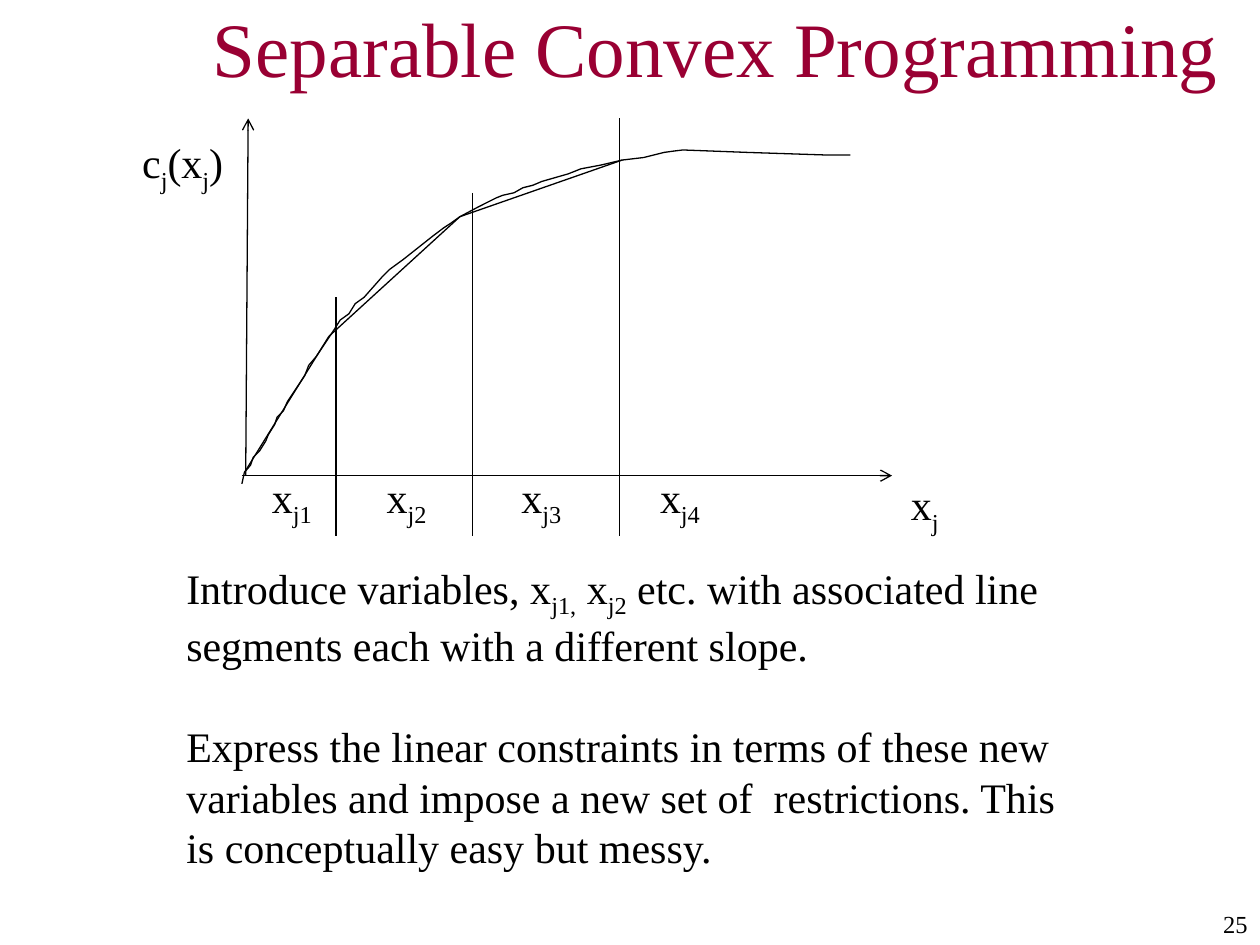
from dataclasses import dataclass

from lxml import etree
from pptx import Presentation
from pptx.dml.color import RGBColor
from pptx.enum.shapes import MSO_CONNECTOR
from pptx.enum.text import MSO_ANCHOR, MSO_AUTO_SIZE, PP_ALIGN
from pptx.oxml.ns import qn
from pptx.util import Inches, Pt

STRAIGHT = MSO_CONNECTOR.STRAIGHT
MIDDLE = MSO_ANCHOR.MIDDLE
LEFT, RIGHT = PP_ALIGN.LEFT, PP_ALIGN.RIGHT
FIXED, GROW = MSO_AUTO_SIZE.NONE, MSO_AUTO_SIZE.SHAPE_TO_FIT_TEXT


@dataclass
class Theme:
    font: str = "Times New Roman"
    ink: RGBColor = RGBColor(0, 0, 0)
    head: RGBColor = RGBColor(0x99, 0x00, 0x33)
    big: int = 44
    body: int = 24
    small: int = 14
    gap: int = 29
    rule: float = 0.75


theme = Theme()
deck = Presentation()
deck.slide_width, deck.slide_height = Inches(10), Inches(7.5)
slide = deck.slides.add_slide(deck.slide_layouts[5])

# Grid of 100 columns by 75 rows
COL, ROW = deck.slide_width // 100, deck.slide_height // 75


def write(box, paras, size, color, align=LEFT):
    """Fill a box; every second piece of a paragraph is a subscript."""
    frame = box.text_frame
    for i, parts in enumerate(paras):
        para = frame.add_paragraph() if i else frame.paragraphs[0]
        para.alignment = align
        if i:
            para.space_before = Pt(theme.gap)
        for j, part in enumerate(parts):
            run = para.add_run()
            run.text = part
            run.font.name, run.font.size = theme.font, Pt(size)
            run.font.color.rgb = color
            if j % 2:
                run.font._element.set("baseline", "-25000")


def draw(start, end, arrow=False):
    """Draw a thin line between two grid points."""
    line = slide.shapes.add_connector(
        STRAIGHT, int(start[0] * COL), int(start[1] * ROW),
        int(end[0] * COL), int(end[1] * ROW))
    line.line.color.rgb, line.line.width = theme.ink, Pt(theme.rule)
    props = line._element.spPr
    if arrow:
        etree.SubElement(props.find(qn("a:ln")), qn("a:tailEnd"), type="arrow")
    etree.SubElement(props, qn("a:effectLst"))


# Title
title = slide.shapes.title
title.left, title.top = int(15.9 * COL), int(0.8 * ROW)
title.width, title.height = int(84.1 * COL), int(5.8 * ROW)
title.text_frame.auto_size = FIXED
title.text_frame.vertical_anchor = MIDDLE
write(title, [["Separable Convex Programming"]], theme.big, theme.head)

# Axes
base = 37.75
draw((19.5, base), (19.7, 9.4), arrow=True)
draw((19.2, base), (70.8, base), arrow=True)

# Cost curve, in tenths of a column and row
curve = [
    (192, 384), (194, 375), (199, 369), (201, 363), (206, 358),
    (211, 350), (213, 345), (218, 337), (220, 331), (225, 326),
    (228, 319), (232, 313), (238, 304), (242, 298), (245, 290),
    (251, 283), (261, 268), (265, 262), (270, 254), (277, 249),
    (282, 241), (289, 236), (304, 219), (309, 214), (320, 206),
    (344, 187), (352, 181), (358, 177), (365, 172), (380, 164),
    (394, 157), (399, 155), (408, 153), (415, 149), (423, 147),
    (430, 144), (444, 140), (451, 138), (461, 134), (477, 131),
    (494, 127), (511, 125), (519, 123), (527, 121), (534, 120),
    (542, 119), (594, 121), (655, 123), (675, 123)]
path = slide.shapes.build_freeform(*curve[0], scale=(COL / 10, ROW / 10))
path.add_line_segments(curve[1:], close=False)
shape = path.convert_to_shape()
shape.fill.background()
shape.line.color.rgb, shape.line.width = theme.ink, Pt(theme.rule)
shape.shadow.inherit = False

# Line segments under the curve
knots = [(19.4, 37.5), (26.1, 26.7), (36.5, 17.2), (49.4, 12.7)]
for start, end in zip(knots, knots[1:]):
    draw(start, end)

# Borders between the variables
for x, top in [(26.67, 23.6), (37.5, 15.3), (49.17, 9.4)]:
    draw((x, top), (x, 42.5))

# Axis and variable labels
labels = [(10.3, 10.35, 8.4, ["c", "j", "(x", "j", ")"]),
          (71.3, 37.5, 4.2, ["x", "j"])]
labels += [(x, 36.9, 5.4, ["x", f"j{n}"])
           for n, x in enumerate([20.6, 29.7, 40.4, 51.4], 1)]
for x, y, wide, parts in labels:
    box = slide.shapes.add_textbox(
        int(x * COL), int(y * ROW), int(wide * COL), int(5.6 * ROW))
    box.text_frame.word_wrap = False
    box.text_frame.auto_size = GROW
    write(box, [parts], theme.body, theme.ink)

# Explanation
note = slide.shapes.add_textbox(
    int(13.8 * COL), int(44.15 * ROW), int(72.5 * COL), int(29.6 * ROW))
note.text_frame.word_wrap = True
note.text_frame.auto_size = GROW
write(note, [
    ["Introduce variables, x", "j1,", " x", "j2",
     " etc. with associated line segments each with a different slope."],
    ["Express the linear constraints in terms of these new variables and "
     "impose a new set of  restrictions. This is conceptually easy but messy."],
], theme.body, theme.ink)

# Page number
page = slide.shapes.add_textbox(
    int(85.8 * COL), int(71.65 * ROW), int(14.2 * COL), int(3.3 * ROW))
page.text_frame.word_wrap = True
write(page, [["25"]], theme.small, theme.ink, RIGHT)

deck.save("out.pptx")
